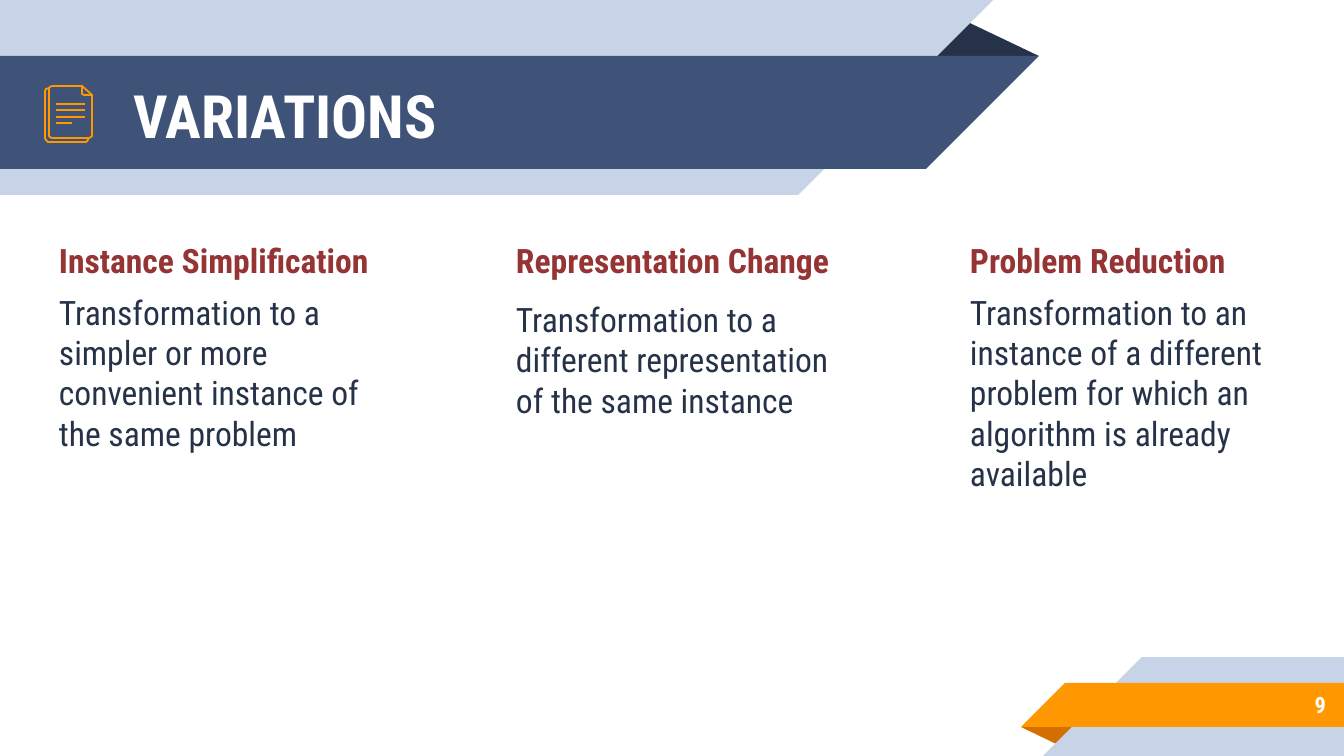
from lxml import etree
from pptx import Presentation
from pptx.dml.color import RGBColor
from pptx.enum.shapes import MSO_CONNECTOR as Connector, MSO_SHAPE as Shape
from pptx.enum.text import MSO_ANCHOR as Anchor, PP_ALIGN as Align
from pptx.oxml.ns import qn
from pptx.util import Pt

PX = 914400 / 134.4  # EMU per px
NAVY, BLUE, PALE = "263248", "3F5378", "C7D3E6"
ORANGE, RUST, RED, WHITE = "FF9800", "D26F00", "963334", "FFFFFF"


def paint(fill, color):
    fill.solid()
    fill.fore_color.rgb = RGBColor.from_string(color)


def write(box, paragraphs, anchor=Anchor.TOP):
    """Add a text box; each paragraph is (text, size, bold, color, format)."""
    frame = slide.shapes.add_textbox(*(round(v * PX) for v in box)).text_frame
    frame_format = {"word_wrap": True, "vertical_anchor": anchor}
    for side in ("left", "right", "top", "bottom"):
        frame_format["margin_" + side] = round(13 * PX)
    for name, value in frame_format.items():
        setattr(frame, name, value)
    for i, (text, size, bold, color, layout) in enumerate(paragraphs):
        paragraph = frame.add_paragraph() if i else frame.paragraphs[0]
        for name, value in layout.items():
            setattr(paragraph, name, value)
        run = paragraph.add_run()
        run.text = text
        font_format = {"name": "Roboto Condensed", "size": Pt(size), "bold": bold}
        for name, value in font_format.items():
            setattr(run.font, name, value)
        paint(run.font.fill, color)


deck = Presentation()
deck.slide_width, deck.slide_height = round(1344 * PX), round(756 * PX)
slide = deck.slides.add_slide(deck.slide_layouts[6])

# Ribbons: header at the top left, page number at the bottom right
ribbons = [
    (Shape.ISOSCELES_TRIANGLE, 925, 19, 114, 37, 0, NAVY),
    (Shape.RECTANGLE, 0, 0, 798, 195, 0, PALE),
    (Shape.RIGHT_TRIANGLE, 798, 0, 195, 195, 90, PALE),
    (Shape.RECTANGLE, 0, 56, 926, 113, 0, BLUE),
    (Shape.RIGHT_TRIANGLE, 926, 56, 113, 113, 90, BLUE),
    (Shape.ISOSCELES_TRIANGLE, 1021, 727, 58, 19, 180, RUST),
    (Shape.RECTANGLE, 1142, 657, 202, 99, 0, PALE),
    (Shape.RIGHT_TRIANGLE, 1043, 657, 99, 99, 270, PALE),
    (Shape.RECTANGLE, 1065, 683, 279, 44, 0, ORANGE),
    (Shape.RIGHT_TRIANGLE, 1021, 683, 44, 44, 270, ORANGE),
]
for kind, *box, turn, color in ribbons:
    part = slide.shapes.add_shape(kind, *(round(v * PX) for v in box))
    part.rotation = turn
    part.shadow.inherit = False
    part.line.fill.background()
    paint(part.fill, color)
    if kind == Shape.ISOSCELES_TRIANGLE:
        part.adjustments[0] = 0.32

# Title
write((120, 58, 773, 113), [("VARIATIONS", 32, True, WHITE, {})], Anchor.MIDDLE)

# Three variations: left, width, space around the description, heading, description
variations = [
    (46, 366, 6, 0, "Instance Simplification",
     "Transformation to a simpler or more convenient instance of the same problem"),
    (503, 363, 10, 10, "Representation Change",
     "Transformation to a different representation of the same instance"),
    (957, 360, 6, 0, "Problem Reduction",
     "Transformation to an instance of a different problem for which an "
     "algorithm is already available"),
]
for left, width, before, after, heading, description in variations:
    spacing = {"space_before": Pt(before), "space_after": Pt(after)}
    write((left, 227, width, 398), [
        (heading, 18, True, RED, {}),
        (description, 18, False, NAVY, spacing),
    ])

# Page number
write((1120, 681, 219, 47),
      [("9", 12, True, WHITE, {"alignment": Align.RIGHT})], Anchor.MIDDLE)

# Document icon: back sheet, front sheet, folded corner
outlines = [
    (False, [(88, 138), (88, 140), (86, 142), (48, 142), (46, 140), (45, 138),
             (45, 91), (46, 89), (49, 88)]),
    (False, [(92, 95), (92, 136), (91, 137), (89, 138), (52, 138), (50, 137),
             (49, 136), (49, 88), (50, 87), (52, 86), (82, 86)]),
    (True, [(82, 94), (82, 86), (92, 95), (84, 95)]),
]
strokes = []
for closed, (start, *rest) in outlines:
    builder = slide.shapes.build_freeform(*start, scale=PX)
    builder.add_line_segments(rest, close=closed)
    sheet = builder.convert_to_shape()
    sheet.shadow.inherit = False
    sheet.fill.background()
    strokes.append(sheet)

# Document icon: lines of writing
for y, right in ((104, 85), (110, 85), (117, 85), (123, 72)):
    ends = (round(v * PX) for v in (56, y, right, y))
    writing = slide.shapes.add_connector(Connector.STRAIGHT, *ends)
    etree.SubElement(writing.line._get_or_add_ln().getparent(), qn("a:effectLst"))
    strokes.append(writing)

for stroke in strokes:
    paint(stroke.line.fill, ORANGE)
    stroke.line.width = Pt(0.96)

deck.save("out.pptx")
